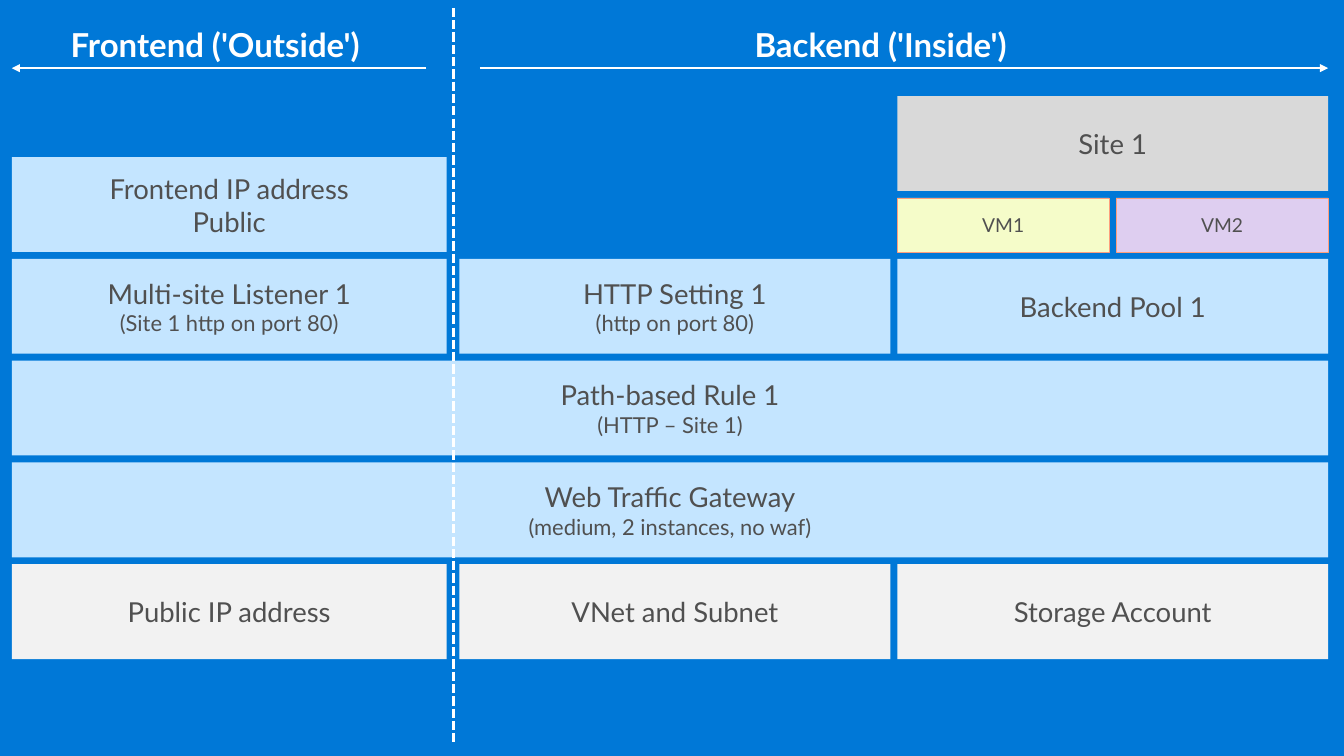
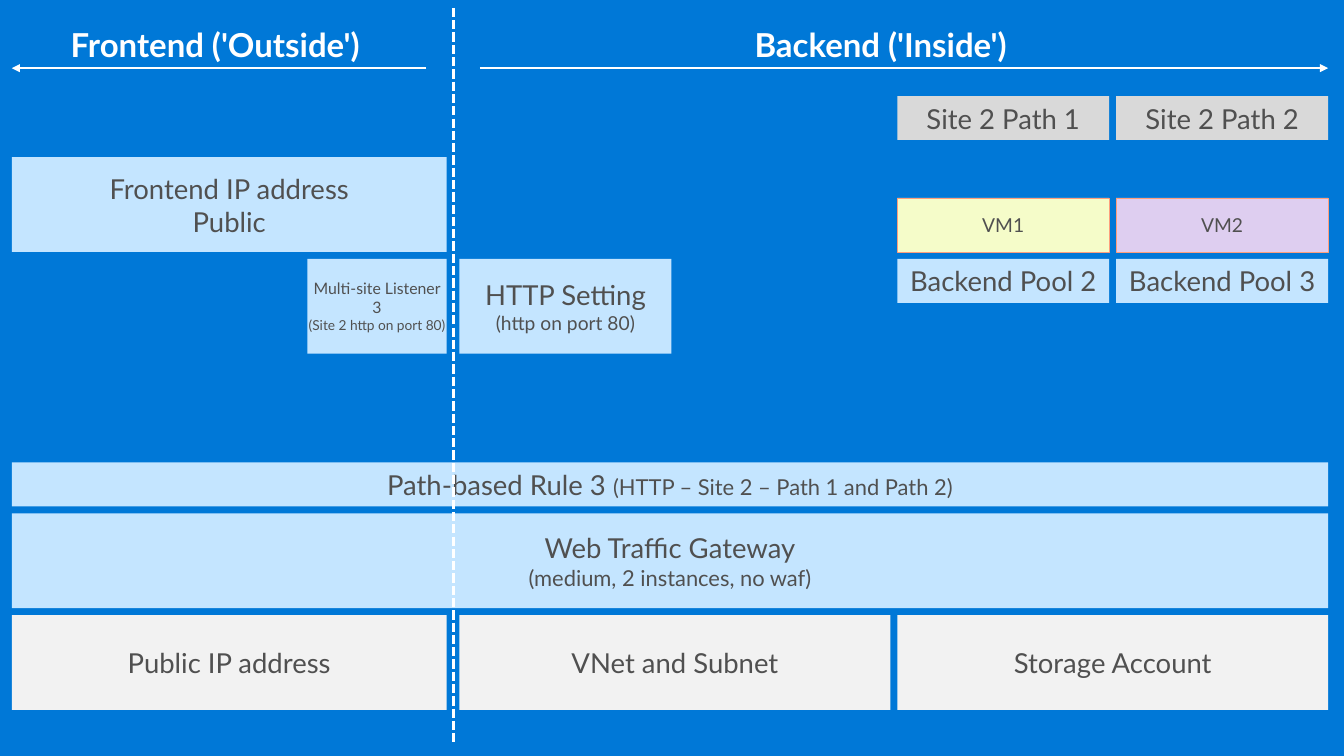
"""Build two slides that map gateway components from frontend to backend."""
from pptx import Presentation
from pptx import util as u
from pptx.dml.color import RGBColor
from pptx.enum import dml, shapes, text
from pptx.oxml.ns import qn
from lxml import etree

WIDTH, HEIGHT = 13.6, 7.65
FONT = "Lato"
COLORS = {
    "background": "0078D7", "white": "FFFFFF", "text": "505050",
    "gateway": "C4E5FF", "base": "F2F2F2", "site": "D9D9D9",
    "vm1": "F5FCC9", "vm2": "DECEF0", "vm_border": "FE9F7C",
}
MARGIN, BACKEND = 0.12, 4.65
COLUMN_PITCH, ROW_PITCH, TOP = 4.43, 1.03, 1.59
GAP, DIVIDER_GAP = 0.07, 0.13
DIVIDER = BACKEND - DIVIDER_GAP / 2
ARROW_Y, ARROW_INSET = 0.69, 0.27
SITE_ROW, VM_ROW, VM_ROWS = -0.6, 0.4, 0.6


def color(name):
    """Return the palette colour with the given name."""
    return RGBColor.from_string(COLORS[name])


def left_edge(column):
    """Return the left of a column; column 0 is the frontend, 1 and 2 the backend."""
    if column < 1:
        return MARGIN + column * (BACKEND - MARGIN)
    return BACKEND + (column - 1) * COLUMN_PITCH


def right_edge(column):
    """Return the right of whatever ends where the given column starts."""
    return left_edge(column) - (DIVIDER_GAP if column == 1 else GAP)


def style_run(run, size, color_name="text", bold=False):
    """Set the font of one run."""
    run.font.name = FONT
    run.font.size = u.Pt(size)
    run.font.bold = bold
    run.font.color.rgb = color(color_name)


def add_block(slide, fill, cell, lines, sizes=(20, 16), span=(1, 1), border=None):
    """Add a filled rectangle on the grid with centred lines and return it."""
    column, row = cell
    columns, rows = span
    left = left_edge(column)
    shape = slide.shapes.add_shape(
        shapes.MSO_SHAPE.RECTANGLE, u.Inches(left), u.Inches(TOP + row * ROW_PITCH),
        u.Inches(right_edge(column + columns) - left), u.Inches(rows * ROW_PITCH - GAP))
    shape.shadow.inherit = False
    shape.fill.solid()
    shape.fill.fore_color.rgb = color(fill)
    if border:
        shape.line.color.rgb = color(border)
        shape.line.width = u.Pt(0.25)
    else:
        shape.line.fill.background()
    frame = shape.text_frame
    frame.text = lines
    frame.word_wrap = True
    frame.vertical_anchor = text.MSO_ANCHOR.MIDDLE
    frame.margin_left = frame.margin_right = 0
    frame.margin_top = frame.margin_bottom = u.Inches(0.05)
    for paragraph, size in zip(frame.paragraphs, sizes):
        paragraph.alignment = text.PP_ALIGN.CENTER
        style_run(paragraph.runs[0], size)
    return shape


def add_heading(slide, title, width, first, end):
    """Add a bold heading centred over a range of columns."""
    center = (left_edge(first) + right_edge(end)) / 2
    box = slide.shapes.add_textbox(
        u.Inches(center - width / 2), u.Inches(0.13), u.Inches(width), u.Inches(0.69))
    frame = box.text_frame
    frame.text = title
    frame.word_wrap = False
    frame.auto_size = text.MSO_AUTO_SIZE.SHAPE_TO_FIT_TEXT
    frame.margin_left = frame.margin_right = u.Inches(0.2)
    frame.margin_top = frame.margin_bottom = u.Inches(0.16)
    paragraph = frame.paragraphs[0]
    paragraph.line_spacing = 0.9
    paragraph.space_after = u.Pt(6)
    style_run(paragraph.runs[0], 24, "white", True)


def add_line(slide, start, end, width):
    """Add a white line without shadow and return it."""
    line = slide.shapes.add_connector(
        shapes.MSO_CONNECTOR.STRAIGHT, *(u.Inches(value) for value in start + end))
    line.line.color.rgb = color("white")
    line.line.width = u.Pt(width)
    etree.SubElement(line._element.spPr, qn("a:effectLst"))
    return line


def add_arrow(slide, start_x, end_x):
    """Add a horizontal arrow below the headings."""
    arrow = add_line(slide, (start_x, ARROW_Y), (end_x, ARROW_Y), 1.5)
    etree.SubElement(arrow.line._get_or_add_ln(), qn("a:tailEnd"), type="triangle")


def add_divider(slide):
    """Add the dashed line between frontend and backend."""
    divider = add_line(slide, (DIVIDER, 0.08), (DIVIDER, 7.51), 2.25)
    divider.line.dash_style = dml.MSO_LINE.SQUARE_DOT


def add_shared(presentation, gateway_row):
    """Add a slide with the parts common to both and return it."""
    slide = presentation.slides.add_slide(presentation.slide_layouts[6])
    add_heading(slide, "Frontend ('Outside')", 3.61, 0, 1)
    add_heading(slide, "Backend ('Inside')", 3.22, 1, 3)
    add_arrow(slide, DIVIDER + ARROW_INSET, right_edge(3))
    add_arrow(slide, DIVIDER - ARROW_INSET, MARGIN)
    add_block(slide, "gateway", (0, 0), "Frontend IP address\nPublic", (20, 20))
    for index, name in enumerate(("VM1", "VM2")):
        add_block(slide, name.lower(), (2 + index / 2, VM_ROW), name, (14,),
                  (0.5, VM_ROWS), "vm_border")
    add_block(slide, "gateway", (0, gateway_row),
              "Web Traffic Gateway\n(medium, 2 instances, no waf)", span=(3, 1))
    for column, name in enumerate(("Public IP address", "VNet and Subnet", "Storage Account")):
        add_block(slide, "base", (column, gateway_row + 1), name)
    return slide


def build_single_site(presentation):
    """Build the slide with one site and one backend pool."""
    slide = add_shared(presentation, 3)
    add_block(slide, "site", (2, SITE_ROW), "Site 1")
    add_block(slide, "gateway", (0, 1), "Multi-site Listener 1\n(Site 1 http on port 80)")
    add_block(slide, "gateway", (1, 1), "HTTP Setting 1\n(http on port 80)")
    add_block(slide, "gateway", (2, 1), "Backend Pool 1")
    add_block(slide, "gateway", (0, 2), "Path-based Rule 1\n(HTTP – Site 1)", span=(3, 1))
    add_divider(slide)


def build_path_site(presentation):
    """Build the slide with one site split into two paths."""
    slide = add_shared(presentation, 3.5)
    for index in range(2):
        column = 2 + index / 2
        add_block(slide, "site", (column, SITE_ROW), f"Site 2 Path {index + 1}", span=(0.5, 0.5))
        add_block(slide, "gateway", (column, 1), f"Backend Pool {index + 2}", span=(0.5, 0.5))
    add_block(slide, "gateway", (0.66, 1), "Multi-site Listener 3\n(Site 2 http on port 80)",
              (11.5, 10), (0.34, 1))
    add_block(slide, "gateway", (1, 1), "HTTP Setting\n(http on port 80)", (20, 14), (0.5, 1))
    rule = add_block(slide, "gateway", (0, 3), "Path-based Rule 3 ", span=(3, 0.5))
    detail = rule.text_frame.paragraphs[0].add_run()
    detail.text = "(HTTP – Site 2 – Path 1 and Path 2)"
    style_run(detail, 16)
    add_divider(slide)


def main():
    """Build and save the presentation."""
    presentation = Presentation()
    presentation.slide_width = u.Inches(WIDTH)
    presentation.slide_height = u.Inches(HEIGHT)
    background = presentation.slide_master.background.fill
    background.solid()
    background.fore_color.rgb = color("background")
    build_single_site(presentation)
    build_path_site(presentation)
    presentation.save("out.pptx")


if __name__ == "__main__":
    main()
